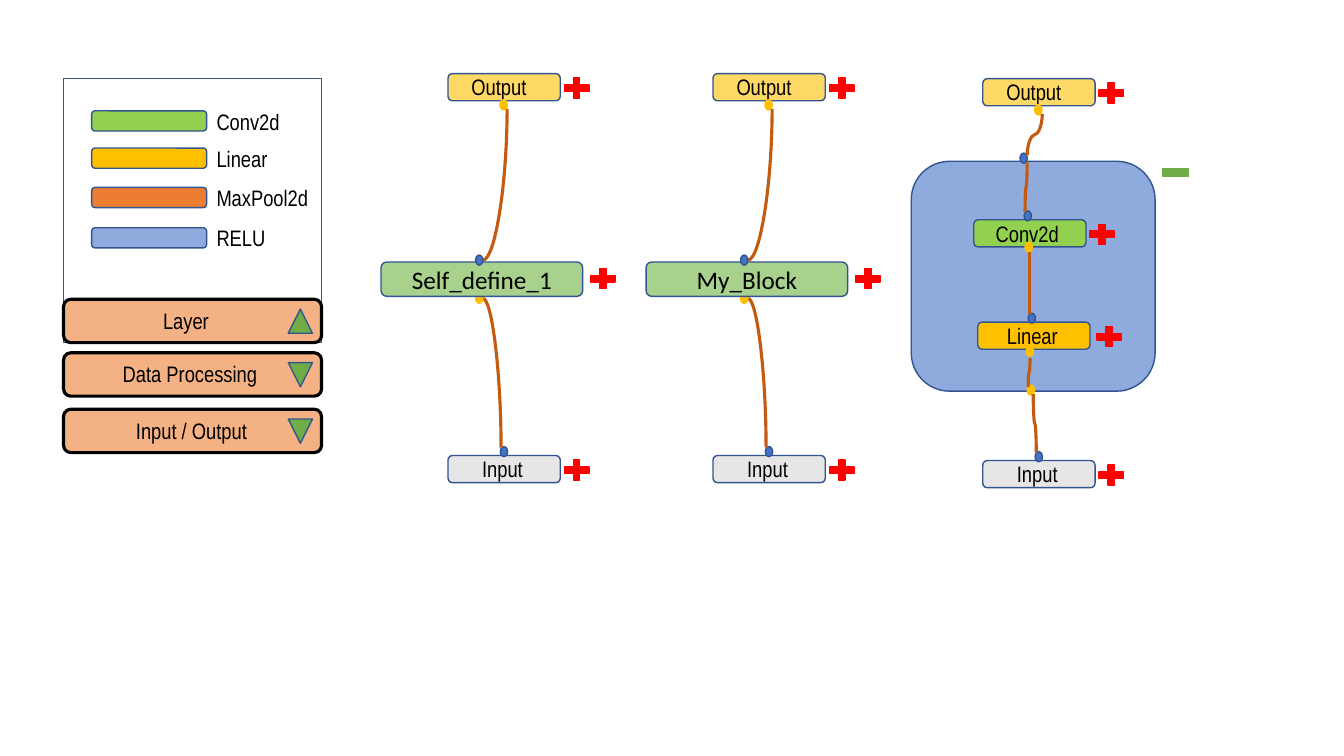
from dataclasses import dataclass

from lxml import etree
from pptx import Presentation
from pptx.dml.color import RGBColor
from pptx.enum.shapes import MSO_CONNECTOR, MSO_SHAPE
from pptx.enum.text import MSO_ANCHOR, MSO_AUTO_SIZE, PP_ALIGN
from pptx.oxml.ns import qn
from pptx.shapes.autoshape import Shape
from pptx.shapes.shapetree import SlideShapes
from pptx.util import Pt

CURVE = MSO_CONNECTOR.CURVE
ROUNDED, BOX, BUTTON = (MSO_SHAPE.FLOWCHART_ALTERNATE_PROCESS,
                        MSO_SHAPE.RECTANGLE, MSO_SHAPE.ROUNDED_RECTANGLE)
DOT, TRIANGLE = MSO_SHAPE.OVAL, MSO_SHAPE.ISOSCELES_TRIANGLE
PLUS, MINUS = MSO_SHAPE.MATH_PLUS, MSO_SHAPE.MATH_MINUS
MIDDLE, CENTER = MSO_ANCHOR.MIDDLE, PP_ALIGN.CENTER
FIT_SHAPE = MSO_AUTO_SIZE.SHAPE_TO_FIT_TEXT
BLANK_LAYOUT = 6


@dataclass(frozen=True)
class Theme:
    outline: str = "325491"
    ink: str = "000000"
    region: str = "8FAADC"
    button: str = "F4B183"
    green: str = "70AD47"
    conv: str = "92D050"
    linear: str = "FFC000"
    pool: str = "ED7D31"
    input: str = "E7E6E6"
    output: str = "FFD966"
    block: str = "A9D18E"
    in_port: str = "4472C4"
    out_port: str = "FFC000"
    plus: str = "FF0000"
    wire: str = "C55A11"
    label_font: str = "Arial Narrow"
    block_font: str = "Calibri"
    label_size: float = 16
    block_size: float = 18
    thin: float = 1
    thick: float = 2.25


@dataclass(frozen=True)
class Port:
    dx: float
    dy: float
    incoming: bool


@dataclass(frozen=True)
class NodeKind:
    label: str
    fill: str
    label_dx: float
    ports: tuple[Port, ...]


@dataclass(frozen=True)
class Node:
    kind: NodeKind
    left: float
    top: float
    plus_dx: float = 80


@dataclass(frozen=True)
class Wire:
    x1: float
    y1: float
    x2: float
    y2: float
    preset: str = "curvedConnector3"


@dataclass(frozen=True)
class LegendRow:
    label: str
    fill: str
    top: float


@dataclass(frozen=True)
class MenuButton:
    label: str
    label_left: float
    top: float
    arrow_turn: int


THEME = Theme()
INPUT = NodeKind("Input", THEME.input, 17.3, (Port(37.4, -6.4, True),))
OUTPUT = NodeKind("Output", THEME.output, 9.7, (Port(37.1, 18.7, False),))
CONV = NodeKind("Conv2d", THEME.conv, 8.6, (Port(36, -6.4, True), Port(36.7, 15.9, False)))
LINEAR = NodeKind("Linear", THEME.linear, 13.7, (Port(36, -6.4, True), Port(34.6, 17.3, False)))

LEGEND = (
    LegendRow("Conv2d", THEME.conv, 79.2),
    LegendRow("Linear", THEME.linear, 105.8),
    LegendRow("MaxPool2d", THEME.pool, 133.9),
    LegendRow("RELU", THEME.region, 162.7),
)
MENU = (
    MenuButton("Layer", 109.4, 213.8, 0),
    MenuButton("Data Processing", 80.6, 252, 180),
    MenuButton("Input / Output", 90, 292.3, 180),
)
BLOCK_NAMES = ("Self_define_1", "My_Block")
FIRST_COLUMN, COLUMN_STEP = 272.2, 189.3
EXPANDED_NODES = (
    Node(LINEAR, 698.4, 230.1, 82.1),
    Node(CONV, 695.5, 157),
    Node(INPUT, 702, 329),
    Node(OUTPUT, 702, 56.2),
)
EXPANDED_WIRES = (
    Wire(735.1, 224.6, 735.1, 180),
    Wire(740.2, 323.3, 738, 281.5),
    Wire(744.5, 81.4, 733.7, 110.9),
    Wire(733.7, 115.9, 732.2, 151.2),
    Wire(734.4, 276.5, 735.8, 255.6),
)


def add_figure(shapes: SlideShapes, preset: MSO_SHAPE, left: float, top: float,
               width: float, height: float, fill: str | None,
               line: str = THEME.outline, weight: float = THEME.thin) -> Shape:
    figure = shapes.add_shape(preset, Pt(left), Pt(top), Pt(width), Pt(height))
    figure.shadow.inherit = False
    if fill is None:
        figure.fill.background()
    else:
        figure.fill.solid()
        figure.fill.fore_color.rgb = RGBColor.from_string(fill)
    figure.line.color.rgb = RGBColor.from_string(line)
    figure.line.width = Pt(weight)
    return figure


def write(figure: Shape, text: str, font_name: str, size: float) -> None:
    paragraph = figure.text_frame.paragraphs[0]
    paragraph.text = text
    paragraph.font.name = font_name
    paragraph.font.size = Pt(size)
    paragraph.font.color.rgb = RGBColor.from_string(THEME.ink)


def add_label(shapes: SlideShapes, text: str, left: float, top: float, width: float) -> None:
    label = shapes.add_textbox(Pt(left), Pt(top), Pt(width), Pt(26.6))
    label.text_frame.word_wrap = True
    label.text_frame.auto_size = FIT_SHAPE
    write(label, text, THEME.label_font, THEME.label_size)


def add_port(shapes: SlideShapes, left: float, top: float, incoming: bool) -> None:
    fill = THEME.in_port if incoming else THEME.out_port
    line = THEME.outline if incoming else THEME.out_port
    add_figure(shapes, DOT, left, top, 5.2, 7.2, fill, line)


def add_plus(shapes: SlideShapes, left: float, top: float) -> None:
    add_figure(shapes, PLUS, left, top, 23.8, 19.4, THEME.plus, THEME.plus)


def add_node(shapes: SlideShapes, node: Node) -> None:
    kind = node.kind
    add_figure(shapes, ROUNDED, node.left, node.top, 80.2, 19.4, kind.fill)
    add_label(shapes, kind.label, node.left + kind.label_dx, node.top - 3.6, 94.3)
    add_plus(shapes, node.left + node.plus_dx, node.top + 0.7)
    for port in kind.ports:
        add_port(shapes, node.left + port.dx, node.top + port.dy, port.incoming)


def add_wire(shapes: SlideShapes, wire: Wire) -> None:
    """Draw a curve that leaves its start vertically: a level curve, turned a quarter."""
    turn = 90 if wire.y2 > wire.y1 else 270
    mid_x, mid_y = (wire.x1 + wire.x2) / 2, (wire.y1 + wire.y2) / 2
    run = abs(wire.y2 - wire.y1) / 2
    rise = (wire.x1 - wire.x2) / 2 * (1 if turn == 90 else -1)
    curve = shapes.add_connector(CURVE, Pt(mid_x - run), Pt(mid_y - rise),
                                 Pt(mid_x + run), Pt(mid_y + rise))
    curve.line.color.rgb = RGBColor.from_string(THEME.wire)
    curve.line.width = Pt(THEME.thick)
    properties = curve._element.spPr
    properties.find(qn("a:xfrm")).set("rot", str(turn * 60000))
    properties.find(qn("a:prstGeom")).set("prst", wire.preset)
    etree.SubElement(properties, qn("a:effectLst"))


def add_palette(shapes: SlideShapes) -> None:
    add_figure(shapes, BOX, 45.4, 56.2, 184.3, 188.6, None)
    for row in LEGEND:
        add_figure(shapes, ROUNDED, 65.5, row.top, 82.1, 14.4, row.fill)
        add_label(shapes, row.label, 147.6, row.top - 5.8, 82.1)
    for button in MENU:
        add_figure(shapes, BUTTON, 45.4, button.top, 184.3, 31, THEME.button,
                   THEME.ink, THEME.thick)
        add_label(shapes, button.label, button.label_left, button.top + 1.8, 113.8)
        arrow = add_figure(shapes, TRIANGLE, 205.9, button.top + 7, 17.3, 17.3, THEME.green)
        arrow.rotation = button.arrow_turn


def add_block_column(shapes: SlideShapes, name: str, left: float) -> None:
    """Draw a collapsed network: input, one named block and output."""
    add_node(shapes, Node(INPUT, left + 47.8, 325.4))
    add_node(shapes, Node(OUTPUT, left + 47.8, 52.6))
    add_wire(shapes, Wire(left + 85.7, 319.7, left + 72.7, 213.1, "curvedConnector2"))
    add_wire(shapes, Wire(left + 90, 77.8, left + 72.7, 185.8, "curvedConnector2"))
    add_port(shapes, left + 67.5, 209.5, False)
    block = add_figure(shapes, ROUNDED, left, 187.2, 144, 24.5, THEME.block)
    block.text_frame.vertical_anchor = MIDDLE
    write(block, name, THEME.block_font, THEME.block_size)
    block.text_frame.paragraphs[0].alignment = CENTER
    add_port(shapes, left + 67.5, 182.2, True)
    add_plus(shapes, left + 146.6, 189.4)


def add_expanded_column(shapes: SlideShapes) -> None:
    add_figure(shapes, ROUNDED, 650.9, 115.2, 174.2, 164.2, THEME.region)
    for node in EXPANDED_NODES:
        add_node(shapes, node)
    add_port(shapes, 728.6, 109.4, True)
    add_port(shapes, 733.7, 275, False)
    for wire in EXPANDED_WIRES:
        add_wire(shapes, wire)
    add_figure(shapes, MINUS, 827.3, 112.3, 25.2, 22.3, THEME.green, THEME.green)


def main() -> None:
    deck = Presentation()
    deck.slide_width, deck.slide_height = Pt(960), Pt(540)
    shapes = deck.slides.add_slide(deck.slide_layouts[BLANK_LAYOUT]).shapes
    add_palette(shapes)
    for index, name in enumerate(BLOCK_NAMES):
        add_block_column(shapes, name, FIRST_COLUMN + index * COLUMN_STEP)
    add_expanded_column(shapes)
    deck.save("out.pptx")


if __name__ == "__main__":
    main()
